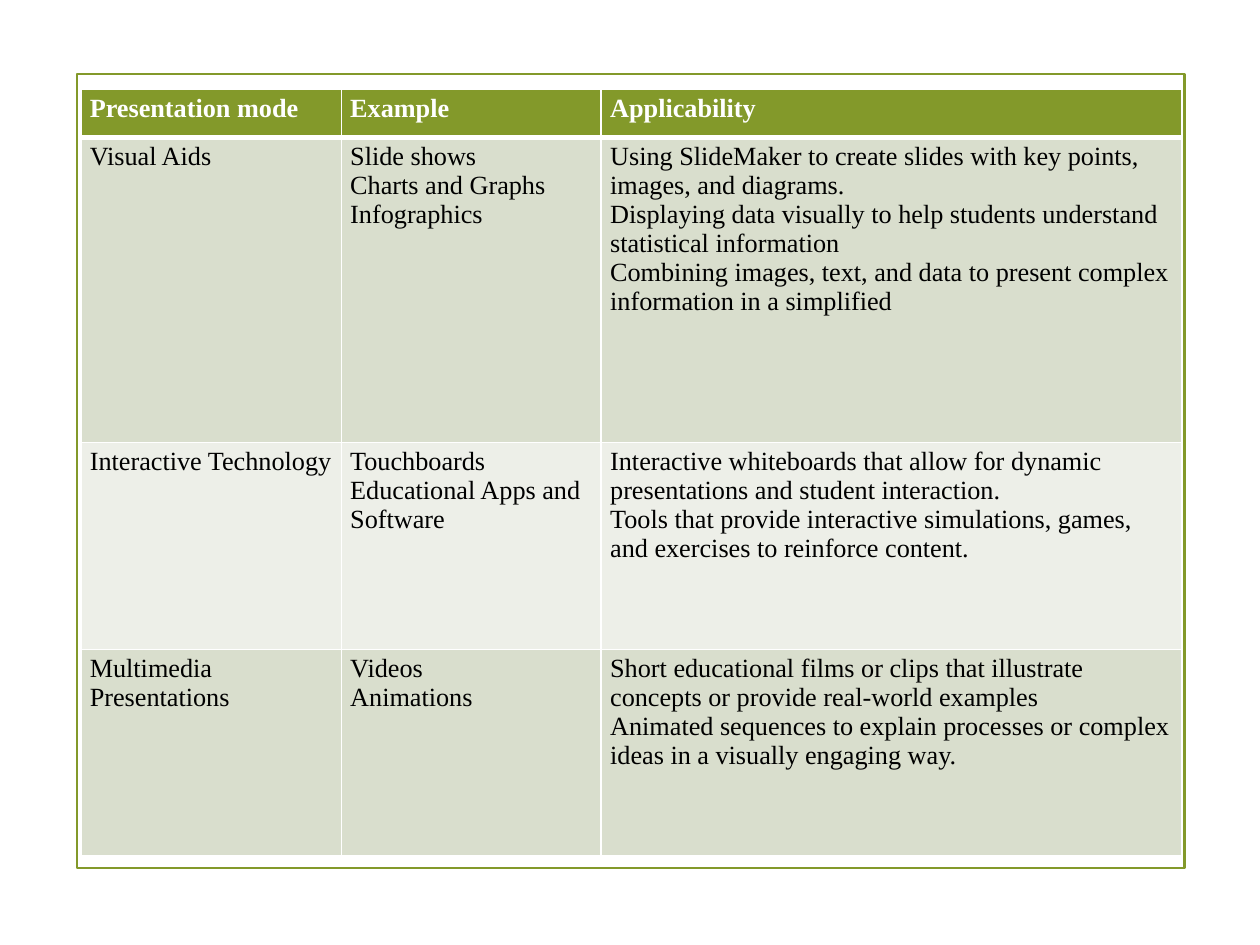
from pptx import Presentation
from pptx.dml.color import RGBColor
from pptx.enum.shapes import MSO_SHAPE
from pptx.oxml.ns import qn
from pptx.util import Cm, Pt
from lxml import etree

RECTANGLE = MSO_SHAPE.RECTANGLE
FONT = "Times New Roman"
GREEN, WHITE, BLACK = "83992A", "FFFFFF", "000000"
BANDS = ["D9DECD", "EDEFE8"]

COLUMN_WIDTHS = [5.25, 5.24, 11.7]
ROW_HEIGHTS = [0.97, 6.15, 4.17, 4.17]
ROWS = [
    [["Presentation mode"], ["Example"], ["Applicability"]],
    [
        ["Visual Aids"],
        ["Slide shows", "Charts and Graphs", "Infographics"],
        [
            "Using SlideMaker to create slides with key points, images, and diagrams.",
            "Displaying data visually to help students understand statistical information",
            "Combining images, text, and data to present complex information in a simplified",
        ],
    ],
    [
        ["Interactive Technology"],
        ["Touchboards", "Educational Apps and Software"],
        [
            "Interactive whiteboards that allow for dynamic presentations and student interaction.",
            "Tools that provide interactive simulations, games, and exercises to reinforce content.",
        ],
    ],
    [
        ["Multimedia Presentations"],
        ["Videos", "Animations"],
        [
            "Short educational films or clips that illustrate concepts or provide real-world examples",
            "Animated sequences to explain processes or complex ideas in a visually engaging way.",
        ],
    ],
]


def color(value):
    return RGBColor.from_string(value)


def write(text_frame, lines, size=15, bold=False, fill=BLACK):
    """Write each line as one paragraph."""
    for index, line in enumerate(lines):
        para = text_frame.add_paragraph() if index else text_frame.paragraphs[0]
        span = para.add_run()
        span.text = line
        span.font.name = FONT
        span.font.size = Pt(size)
        span.font.bold = bold
        span.font.color.rgb = color(fill)


def set_borders(cell, bottom_width):
    """Draw white borders; they must come before the fill in the cell XML."""
    properties = cell._tc.get_or_add_tcPr()
    widths = {"a:lnL": 1, "a:lnR": 1, "a:lnT": 1, "a:lnB": bottom_width}
    for position, (tag, width) in enumerate(widths.items()):
        line = etree.Element(qn(tag), w=str(Pt(width)))
        fill = etree.SubElement(line, qn("a:solidFill"))
        etree.SubElement(fill, qn("a:srgbClr"), val=WHITE)
        properties.insert(position, line)


def add_frame(page, left, top, width, height):
    box = page.shapes.add_shape(RECTANGLE, Cm(left), Cm(top), Cm(width), Cm(height))
    box.shadow.inherit = False
    box.fill.background()
    box.line.color.rgb = color(GREEN)
    box.line.width = Pt(1.25)


def format_cell(cell, lines, row):
    header = row == 0
    cell.margin_left = cell.margin_right = Cm(0.18)
    cell.margin_top = cell.margin_bottom = Cm(0.1)
    cell.fill.solid()
    cell.fill.fore_color.rgb = color(GREEN if header else BANDS[(row - 1) % 2])
    # The line under the header belongs to both neighbouring rows.
    set_borders(cell, bottom_width=3 if header else 1)
    if row == 1:
        cell._tc.tcPr.find(qn("a:lnT")).set("w", str(Pt(3)))
    write(cell.text_frame, lines, bold=header, fill=WHITE if header else BLACK)


def add_mode_table(page, left, top):
    table = page.shapes.add_table(
        len(ROWS), len(COLUMN_WIDTHS), Cm(left), Cm(top),
        Cm(sum(COLUMN_WIDTHS)), Cm(sum(ROW_HEIGHTS)),
    ).table
    for column, width in zip(table.columns, COLUMN_WIDTHS):
        column.width = Cm(width)
    for row, height in enumerate(ROW_HEIGHTS):
        table.rows[row].height = Cm(height)
        for column, lines in enumerate(ROWS[row]):
            format_cell(table.cell(row, column), lines, row)


def main():
    deck = Presentation()
    deck.slide_width, deck.slide_height = Cm(25.4), Cm(19.05)
    page = deck.slides.add_slide(deck.slide_layouts[6])
    left, top = 1.55, 1.5
    add_frame(page, left, top, 22.33, 16)
    add_mode_table(page, left + 0.08, top + 0.3)
    deck.save("out.pptx")


if __name__ == "__main__":
    main()
